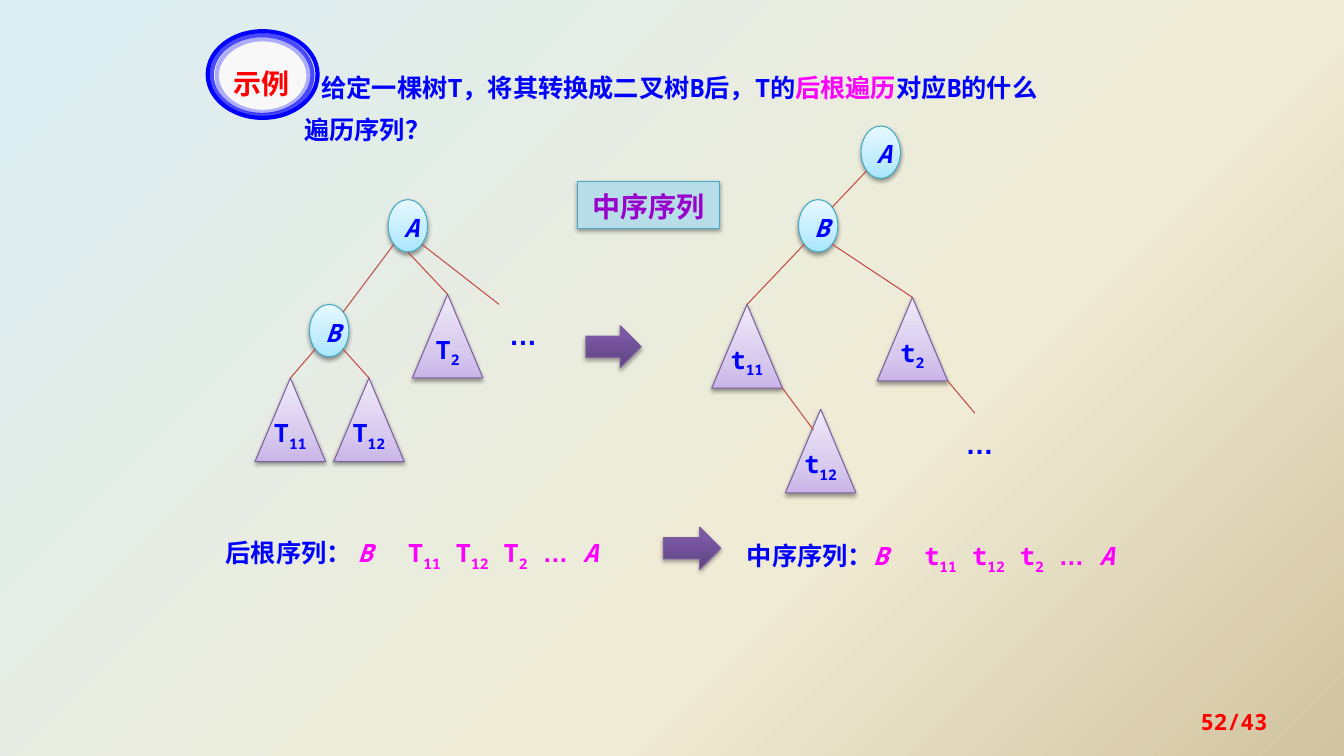
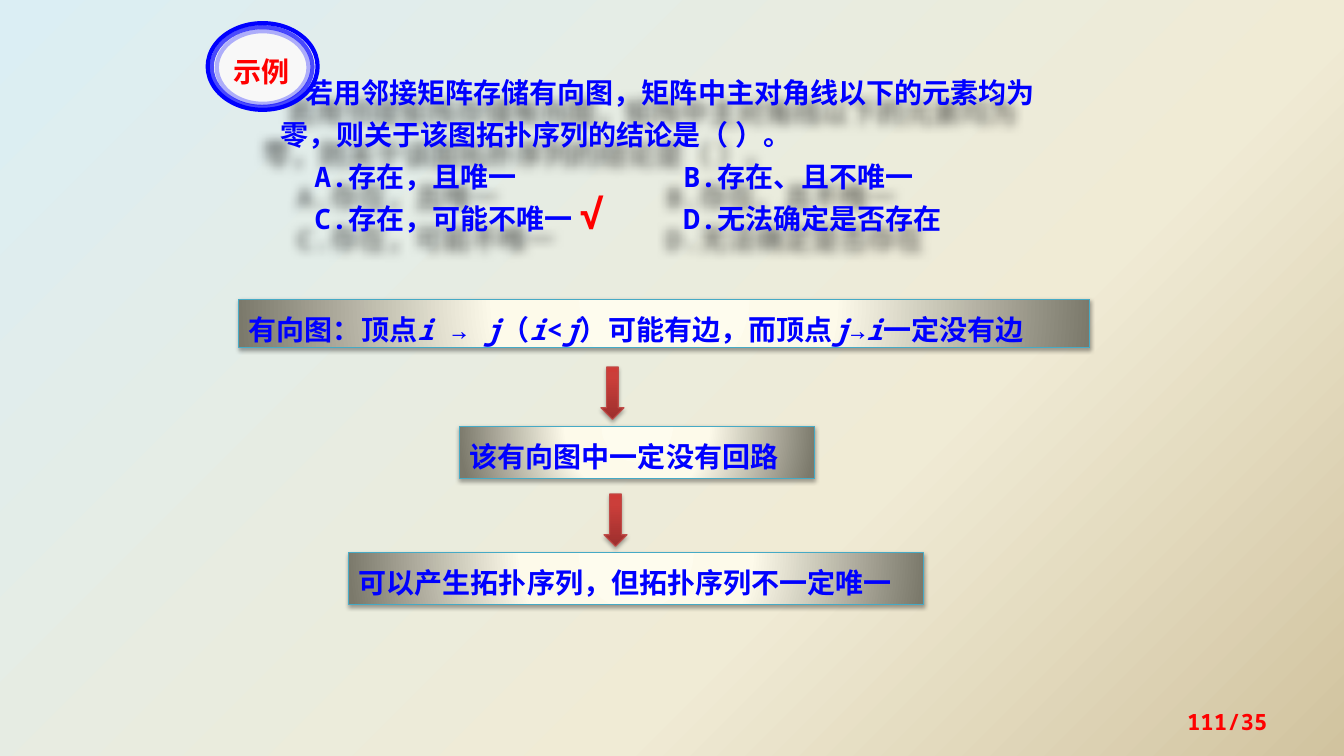
"""Build two slides on tree traversal and topological order."""
import pptx
import pptx.dml.color
import pptx.enum.shapes
import pptx.enum.text
import pptx.oxml.ns
import pptx.util
from lxml import etree

PX = 9144
MONO, CJK, ARIAL = "Noto Sans Mono", "Noto Sans CJK JP", "Arial"
SHAPE = pptx.enum.shapes.MSO_SHAPE
ALIGN = pptx.enum.text.PP_ALIGN
ANCHOR = pptx.enum.text.MSO_ANCHOR
qn = pptx.oxml.ns.qn

COLORS = {
    "blue": "0000FF", "magenta": "FF00FF", "red": "FF0000", "purple": "9900CC",
    "black": "000000", "badge": "F8F8F8", "answer": "B7DEE8",
    "teal": "46AAC5", "violet": "7D60A0", "brick": "BF4C48",
    "bg_sky": "DBEEF4", "bg_cream": "F0EBD5", "bg_sand": "D1C39F",
    "node_dark": "A7E6FF", "node_mid": "C1EDFF", "node_light": "E7F8FF",
    "tree_dark": "C9B5E8", "tree_mid": "D8CBEE", "tree_light": "F0EAF9",
    "arrow_dark": "5F4480", "arrow_mid": "7B58A6", "arrow_light": "7C57A8",
    "down_dark": "9C2F2D", "down_mid": "CB3E3A", "down_light": "CE3B37",
    "step_light": "FEFCEE", "step_mid": "FDFAEA", "step_dark": "7B796B",
}
GRADIENTS = {
    "background": ([(0, "bg_sky"), (65, "bg_cream"), (100, "bg_sand")], 45),
    "node": ([(0, "node_dark"), (35, "node_mid"), (100, "node_light")], 270),
    "tree": ([(0, "tree_dark"), (35, "tree_mid"), (100, "tree_light")], 270),
    "arrow": ([(0, "arrow_dark"), (80, "arrow_mid"), (100, "arrow_light")], 270),
    "down": ([(0, "down_dark"), (80, "down_mid"), (100, "down_light")], 270),
    "step": ([(0, "step_light"), (40, "step_mid"), (100, "step_dark")], None),
}
SITES = {
    "top": (0.5, 0), "bottom": (0.5, 1), "corner": (1, 1), "side": (0.4, 0.25),
    "sw": (0.15, 0.85), "se": (0.85, 0.85), "ne": (0.85, 0.15),
}


def rgb(name):
    return pptx.dml.color.RGBColor.from_string(COLORS[name])


def px(*lengths):
    return [round(n * PX) for n in lengths]


def child(parent, tag, **attrs):
    return etree.SubElement(parent, qn(tag), {k: str(v) for k, v in attrs.items()})


def set_gradient(fill, element, name):
    stops, angle = GRADIENTS[name]
    fill.gradient()
    grad = element.find(".//" + qn("a:gradFill"))
    for old in list(grad):
        grad.remove(old)
    stop_list = child(grad, "a:gsLst")
    for pos, color in stops:
        child(child(stop_list, "a:gs", pos=pos * 1000), "a:srgbClr", val=COLORS[color])
    if angle is None:
        focus = child(grad, "a:path", path="circle")
        child(focus, "a:fillToRect", l=50000, t=-80000, r=50000, b=180000)
    else:
        child(grad, "a:lin", ang=angle * 60000, scaled=0)


def set_shadow(sh, alpha, blur=3.1, dist=1.7, angle=90):
    sh.shadow.inherit = False
    effects = sh.element.spPr.find(qn("a:effectLst"))
    outer = child(effects, "a:outerShdw", blurRad=round(blur * 12700),
                  dist=round(dist * 12700), dir=angle * 60000, rotWithShape=0)
    color = child(outer, "a:srgbClr", val=COLORS["black"])
    child(color, "a:alpha", val=alpha * 1000)


def add_run(p, text, size=18, color="blue", bold=True, italic=False, font=MONO, sub=False):
    r = p.add_run()
    r.text = text
    r.font.size = pptx.util.Pt(size)
    r.font.bold = bold
    r.font.italic = italic
    r.font.color.rgb = rgb(color)
    r.font.name = font
    r_pr = r._r.get_or_add_rPr()
    child(r_pr, "a:ea", typeface=CJK)
    if sub:
        r_pr.set("baseline", "-25000")


def set_text(sh, paragraphs, spacing=30, align=ALIGN.LEFT, anchor=ANCHOR.TOP,
             indent=0, tabs=(), inset=None, **fmt):
    tf = sh.text_frame
    tf.word_wrap = True
    tf.vertical_anchor = anchor
    if inset is not None:
        tf.margin_left = tf.margin_right = tf.margin_top = tf.margin_bottom = inset
    for i, runs in enumerate(paragraphs):
        p = tf.paragraphs[0] if i == 0 else tf.add_paragraph()
        p_pr = p._p.get_or_add_pPr()
        if indent and i == 0:
            p_pr.set("indent", str(indent * PX))
        elif tabs:
            tab_list = child(p_pr, "a:tabLst")
            for tab in tabs:
                child(tab_list, "a:tab", pos=tab * PX, algn="l")
        p.alignment = align
        p.line_spacing = pptx.util.Pt(spacing) if spacing > 5 else spacing
        for text, extra in runs:
            add_run(p, text, **{**fmt, **extra})


def add_text(s, box, *paragraphs, **fmt):
    tb = s.shapes.add_textbox(*px(*box))
    set_text(tb, paragraphs, **fmt)
    return tb


def add_shape(s, kind, box, fill=None, line="teal", width=0.75, alpha=100, shadow=None):
    sh = s.shapes.add_shape(kind, *px(*box))
    sh.shadow.inherit = False
    if fill in GRADIENTS:
        set_gradient(sh.fill, sh.element, fill)
    elif fill:
        sh.fill.solid()
        sh.fill.fore_color.rgb = rgb(fill)
    else:
        sh.fill.background()
    sh.line.color.rgb = rgb(line)
    sh.line.width = pptx.util.Pt(width)
    if alpha < 100:
        color = sh.element.spPr.find(qn("a:ln")).find(".//" + qn("a:srgbClr"))
        child(color, "a:alpha", val=alpha * 1000)
    if shadow:
        set_shadow(sh, shadow)
    return sh


def add_node(s, x, y, name):
    sh = add_shape(s, SHAPE.OVAL, (x, y, 39, 52), "node", shadow=38)
    set_text(sh, [[(name, {"italic": True})]], spacing=1.1,
             align=ALIGN.CENTER, anchor=ANCHOR.MIDDLE)
    return sh


def add_subtree(s, x, y, letter, index):
    sh = add_shape(s, SHAPE.ISOSCELES_TRIANGLE, (x, y, 70, 83), "tree", "violet", shadow=38)
    set_text(sh, [[(letter, {}), (index, {"sub": True})]], spacing=16,
             align=ALIGN.CENTER, anchor=ANCHOR.MIDDLE, inset=0)
    return sh


def site(sh, name):
    fx, fy = SITES[name]
    return round(sh.left + fx * sh.width), round(sh.top + fy * sh.height)


def add_edge(s, start, end):
    line = s.shapes.add_connector(pptx.enum.shapes.MSO_CONNECTOR.STRAIGHT, *start, *end)
    line.line.color.rgb = rgb("brick")
    line.line.width = pptx.util.Pt(0.75)
    child(line.element.spPr, "a:effectLst")


def add_dots(s, x, y):
    add_text(s, (x, y, 55, 52), [("…", {})], size=20, font=ARIAL)


def add_sequence(s, box, label, letter, tab):
    sub = {"sub": True}
    runs = [("B", {"italic": True}), ("\t" + letter, {}), ("11", sub),
            (" " + letter, {}), ("12", sub), (" " + letter, {}), ("2", sub),
            (" ", {}), ("…", {"font": ARIAL}), (" ", {}), ("A", {"italic": True})]
    add_text(s, box, [(label, {"color": "blue"})] + runs, tabs=(tab,), color="magenta")


def add_badge(s, top, label_top):
    rings = [(0, 0, 109, 86, "badge", 100), (4, 4, 100, 79, None, 70), (9, 8, 91, 72, None, 30)]
    for dx, dy, w, h, fill, alpha in rings:
        add_shape(s, SHAPE.OVAL, (206 + dx, top + dy, w, h), fill, "blue", 3, alpha)
    add_text(s, (211, label_top, 96, 47), [("示例", {})], spacing=1.1,
             align=ALIGN.CENTER, size=20, color="red", font=CJK)


def add_page_number(s, text):
    add_text(s, (956, 696, 311, 40), [(text, {})], spacing=1.0, align=ALIGN.RIGHT,
             anchor=ANCHOR.MIDDLE, size=16, color="red")


def add_step(s, box, *runs):
    sh = add_shape(s, SHAPE.RECTANGLE, box, "step", shadow=35)
    set_text(sh, [runs], size=20)


def build_traversal(s):
    add_text(s, (292, 55, 758, 94),
             [("给定一棵树T，将其转换成二叉树B后，T的", {}),
              ("后根遍历", {"color": "magenta"}), ("对应B的什么遍历序列？", {})],
             indent=17)
    add_sequence(s, (214, 521, 436, 52), "后根序列： ", "T", 181)
    add_sequence(s, (731, 524, 413, 52), "中序序列：", "t", 176)
    for box in [(658, 523, 57, 42), (581, 323, 55, 42)]:
        add_shape(s, SHAPE.RIGHT_ARROW, box, "arrow", "violet", shadow=35)

    tree_a, tree_b = add_node(s, 385, 198, "A"), add_node(s, 307, 302, "B")
    tree_11 = add_subtree(s, 253, 375, "T", "11")
    tree_12 = add_subtree(s, 331, 375, "T", "12")
    tree_2 = add_subtree(s, 409, 292, "T", "2")
    bin_a, bin_b = add_node(s, 854, 125, "A"), add_node(s, 792, 198, "B")
    bin_11 = add_subtree(s, 706, 302, "t", "11")
    bin_12 = add_subtree(s, 779, 406, "t", "12")
    bin_2 = add_subtree(s, 870, 295, "t", "2")

    edges = [(tree_a, "sw", tree_b, "ne"), (tree_a, "bottom", tree_2, "top"),
             (tree_b, "sw", tree_11, "top"), (tree_b, "se", tree_12, "top"),
             (bin_a, "sw", bin_b, "ne"), (bin_b, "sw", bin_11, "top"),
             (bin_b, "se", bin_2, "top"), (bin_11, "corner", bin_12, "side")]
    for parent, start, kid, end in edges:
        add_edge(s, site(parent, start), site(kid, end))
    add_edge(s, site(tree_a, "se"), px(495, 302))
    add_edge(s, site(bin_2, "corner"), px(967, 410))
    add_dots(s, 495, 302)
    add_dots(s, 948, 410)

    answer = add_shape(s, SHAPE.RECTANGLE, (573, 180, 141, 47), "answer", shadow=35)
    set_text(answer, [[("中序序列", {})]], spacing=26, align=ALIGN.CENTER,
             size=20, color="purple")
    add_badge(s, 31, 58)
    add_page_number(s, "52/43")


def build_topology(s):
    question = add_text(
        s, (268, 62, 780, 178),
        [("若用邻接矩阵存储有向图，矩阵中主对角线以下的元素均为零，"
          "则关于该图拓扑序列的结论是（ ）。", {})],
        [("\tA.存在，且唯一\tB.存在、且不唯一", {})],
        [("\tC.存在，可能不唯一\tD.无法确定是否存在", {})],
        indent=25, tabs=(34, 400), size=20)
    set_shadow(question, 50, blur=8, dist=19, angle=135)
    add_text(s, (565, 189, 39, 52), [("√", {})], size=28, color="red")

    i, j = [(name, {"italic": True}) for name in "ij"]
    add_step(s, (237, 297, 844, 48), ("有向图：顶点", {}), i, (" → ", {}), j, ("（", {}),
             i, ("<", {}), j, ("）可能有边，而顶点", {}), j, ("→", {}), i, ("一定没有边", {}))
    add_step(s, (456, 423, 352, 52), ("该有向图中一定没有回路", {}))
    add_step(s, (346, 548, 570, 52), ("可以产生拓扑序列，但拓扑序列不一定唯一", {}))
    for x, y in [(596, 364), (599, 490)]:
        add_shape(s, SHAPE.DOWN_ARROW, (x, y, 23, 52), "down", "brick", shadow=35)
    add_badge(s, 23, 46)
    add_page_number(s, "111/35")


def main():
    prs = pptx.Presentation()
    prs.slide_width, prs.slide_height = px(1333, 750)
    master = prs.slide_master
    set_gradient(master.background.fill, master.element, "background")
    for build in (build_traversal, build_topology):
        build(prs.slides.add_slide(prs.slide_layouts[6]))
    prs.save("out.pptx")


if __name__ == "__main__":
    main()
